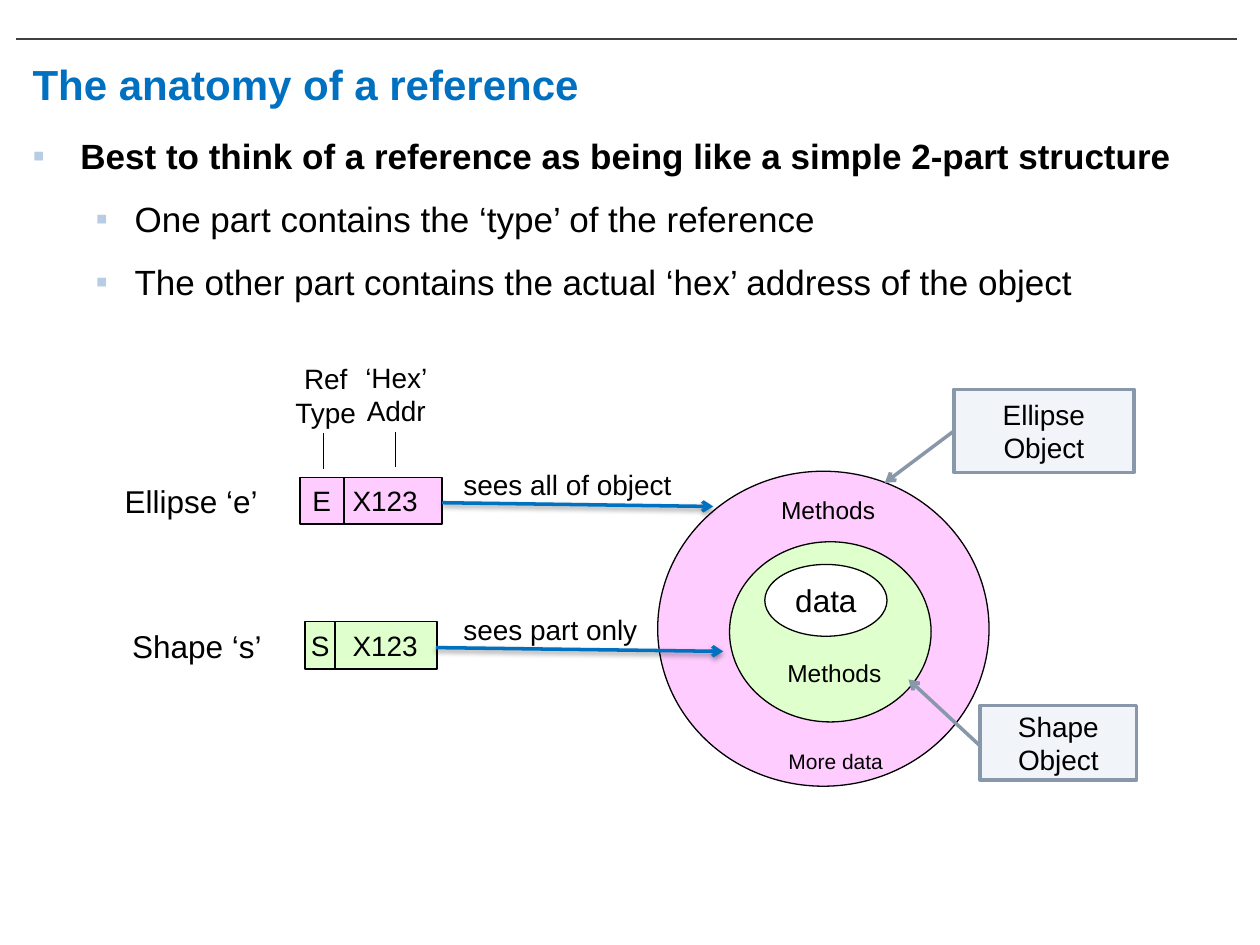
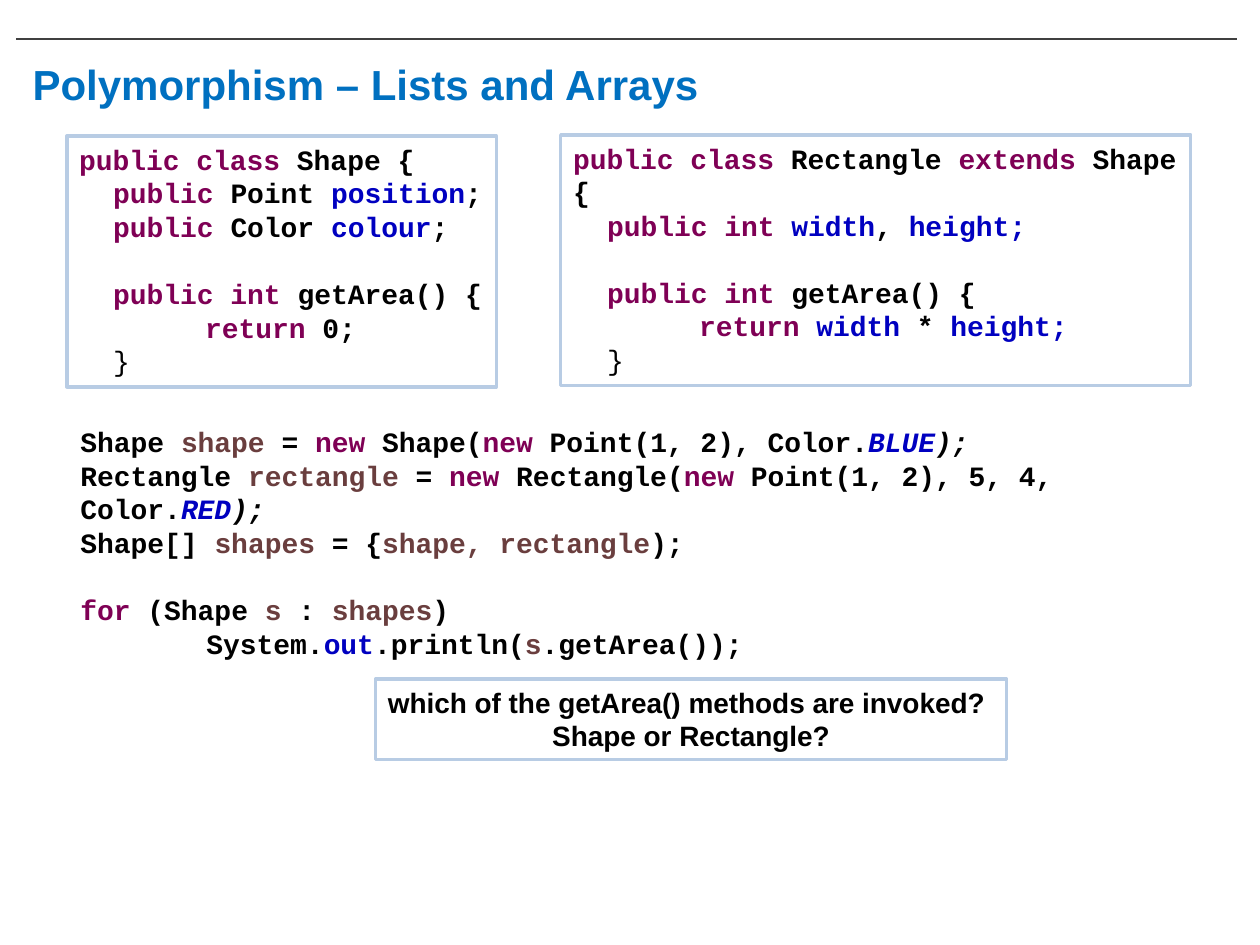
from dataclasses import dataclass, field

from lxml import etree
from pptx import Presentation
from pptx.dml.color import RGBColor
from pptx.enum.shapes import MSO_CONNECTOR, MSO_SHAPE
from pptx.enum.text import MSO_ANCHOR, PP_ALIGN
from pptx.oxml.ns import qn
from pptx.util import Inches, Pt

RECT, OVAL, CALLOUT = MSO_SHAPE.RECTANGLE, MSO_SHAPE.OVAL, MSO_SHAPE.LINE_CALLOUT_1
STRAIGHT = MSO_CONNECTOR.STRAIGHT
TOP, MIDDLE = MSO_ANCHOR.TOP, MSO_ANCHOR.MIDDLE
LEFT, CENTER = PP_ALIGN.LEFT, PP_ALIGN.CENTER
COLUMNS = 100


@dataclass
class Theme:
    sans: str = "Arial"
    mono: str = "Courier New"
    accent: str = "0070C0"
    rule: str = "404040"
    ink: str = "000000"
    paper: str = "FFFFFF"
    frame: str = "B8CCE4"
    pink: str = "FFCCFF"
    green: str = "DFFFCD"
    callout: str = "F1F5FA"
    callout_line: str = "8897A9"
    title: int = 24
    body: int = 20
    name: int = 18
    label: int = 16
    small: int = 14
    tiny: int = 12
    thin: float = 0.75
    thick: float = 2
    leading: float = 1.2
    syntax: dict = field(default_factory=lambda: {
        "t": ("000000", True, False),
        "k": ("7F0055", True, False),
        "f": ("0000C0", True, False),
        "v": ("6A3E3E", True, False),
        "c": ("0000C0", True, True),
        "i": ("000000", True, True),
        "p": ("000000", False, False),
    })


class Painter:
    def __init__(self, deck, theme):
        self.deck, self.theme = deck, theme
        self.cell = deck.slide_width // COLUMNS
        self.page = None

    def grid(self, values):
        return [round(value * self.cell) for value in values]

    def start(self, title):
        theme = self.theme
        self.page = self.deck.slides.add_slide(self.deck.slide_layouts[6])
        self.line((1.3, 3.1), (98.2, 3.1), theme.rule)
        self.text((1.6, 3.9, 96.1, 5.5), title, theme.title, theme.accent,
                  bold=True, anchor=MIDDLE)

    def style(self, span, size, color, bold=False, italic=False, name=None):
        font = span.font
        font.name, font.size = name or self.theme.sans, Pt(size)
        font.bold, font.italic = bold, italic
        font.color.rgb = RGBColor.from_string(color)

    def fill_text(self, box, text, size, color=None, bold=False, align=LEFT, anchor=TOP,
                  wrap=True):
        frame = box.text_frame
        frame.text = text
        frame.word_wrap, frame.vertical_anchor = wrap, anchor
        for para in frame.paragraphs:
            para.alignment = align
            para.line_spacing = Pt(size * self.theme.leading)
            for span in para.runs:
                self.style(span, size, color or self.theme.ink, bold)

    def text(self, area, text, size, color=None, **options):
        box = self.page.shapes.add_textbox(*self.grid(area))
        self.fill_text(box, text, size, color, **options)
        return box

    def shape(self, kind, area, fill, line=None, width=None):
        box = self.page.shapes.add_shape(kind, *self.grid(area))
        box.shadow.inherit = False
        box.fill.solid()
        box.fill.fore_color.rgb = RGBColor.from_string(fill)
        box.line.color.rgb = RGBColor.from_string(line or self.theme.ink)
        box.line.width = Pt(width or self.theme.thin)
        return box

    def arrowhead(self, line):
        outline = line._element.spPr.find(qn("a:ln"))
        etree.SubElement(outline, qn("a:tailEnd"), type="arrow")

    def line(self, start, end, color=None):
        line = self.page.shapes.add_connector(STRAIGHT, *self.grid(start + end))
        line.line.color.rgb = RGBColor.from_string(color or self.theme.ink)
        line.line.width = Pt(self.theme.thin)
        etree.SubElement(line._element.spPr, qn("a:effectLst"))
        return line

    def arrow(self, start, end):
        line = self.line(start, end, self.theme.accent)
        line.line.width = Pt(self.theme.thick)
        self.arrowhead(line)
        effects = line._element.spPr.find(qn("a:effectLst"))
        shadow = etree.SubElement(effects, qn("a:outerShdw"), blurRad=str(int(Pt(3.1))),
                                  dist=str(int(Pt(1.6))), dir="5400000", rotWithShape="0")
        color = etree.SubElement(shadow, qn("a:srgbClr"), val=self.theme.ink)
        etree.SubElement(color, qn("a:alpha"), val="38000")

    def callout(self, area, text, pointer):
        theme = self.theme
        box = self.shape(CALLOUT, area, theme.callout, theme.callout_line, theme.thick)
        for index, value in enumerate(pointer):
            box.adjustments[index] = value
        self.arrowhead(box)
        self.fill_text(box, text, theme.label, align=CENTER, anchor=MIDDLE)

    def bullets(self, area, items):
        theme = self.theme
        box = self.text(area, "\n".join(text for level, text in items), theme.body)
        for para, (level, text) in zip(box.text_frame.paragraphs, items):
            left, hang = ((0.38, 0.38), (0.81, 0.31))[level]
            para.level, para.space_before = level, Pt(12)
            para.runs[0].font.bold = level == 0
            props = para._p.get_or_add_pPr()
            props.set("marL", str(int(Inches(left))))
            props.set("indent", str(-int(Inches(hang))))
            color = etree.SubElement(props, qn("a:buClr"))
            etree.SubElement(color, qn("a:srgbClr"), val=theme.frame)
            etree.SubElement(props, qn("a:buFont"), typeface=theme.sans)
            etree.SubElement(props, qn("a:buChar"), char="▪")

    def code(self, box, lines):
        theme = self.theme
        frame = box.text_frame
        frame.word_wrap, frame.vertical_anchor = True, TOP
        height = Pt(theme.label * theme.leading)
        for index, (indent, blank, markup) in enumerate(lines):
            para = frame.add_paragraph() if index else frame.paragraphs[0]
            para.alignment, para.line_spacing = LEFT, height
            para.space_before = Pt(theme.label * theme.leading * blank)
            para._p.get_or_add_pPr().set("marL", str(int(Inches(indent))))
            for part in markup.split("~")[1:]:
                span = para.add_run()
                span.text = part[1:]
                self.style(span, theme.label, *theme.syntax[part[0]], name=theme.mono)

    def panel(self, area):
        theme = self.theme
        return self.shape(RECT, area, theme.paper, theme.frame, theme.thick)

    def code_panel(self, area, lines):
        self.code(self.panel(area), lines)

    def code_text(self, area, lines):
        self.code(self.page.shapes.add_textbox(*self.grid(area)), lines)


def anatomy(paint):
    theme = paint.theme
    paint.start("The anatomy of a reference")
    paint.bullets((1.6, 10.2, 96.1, 15.7), [
        (0, "Best to think of a reference as being like a simple 2-part structure"),
        (1, "One part contains the ‘type’ of the reference"),
        (1, "The other part contains the actual ‘hex’ address of the object"),
    ])

    for area, fill in [
        ((52.2, 37.4, 26.3, 25), theme.pink),
        ((57.9, 43, 16, 14.3), theme.green),
    ]:
        paint.shape(OVAL, area, fill)
    data = paint.shape(OVAL, (60.7, 44.8, 9.7, 5.7), theme.paper)
    paint.fill_text(data, "data", theme.name, anchor=MIDDLE, align=CENTER, wrap=False)

    for area, fill, width in [
        ((27, 37.9, 8.1, 3.7), theme.pink, 1),
        ((23.8, 37.9, 3.5, 3.7), theme.pink, theme.thin),
        ((26.6, 49.3, 8.1, 3.8), theme.green, theme.thin),
        ((24.2, 49.3, 2.4, 3.8), theme.green, theme.thin),
    ]:
        paint.shape(RECT, area, fill, width=width)

    for area, text, size in [
        ((8.9, 37.8, 14.2, 4), "Ellipse ‘e’", theme.name),
        ((9.5, 49.3, 13.5, 4), "Shape ‘s’", theme.name),
        ((23.8, 37.9, 3.5, 3.7), "E", theme.label),
        ((23.7, 49.4, 4, 3.7), "S", theme.label),
        ((27, 37.9, 7.2, 3.7), "X123", theme.label),
        ((27, 49.4, 7.2, 3.7), "X123", theme.label),
        ((35.8, 36.6, 18.6, 3.7), "sees all of object", theme.label),
        ((35.8, 48.1, 15.8, 3.7), "sees part only", theme.label),
        ((61, 38.8, 9.5, 3.4), "Methods", theme.small),
        ((61.5, 51.7, 9.5, 3.4), "Methods", theme.small),
        ((61.6, 58.9, 9.6, 3), "More data", theme.tiny),
    ]:
        paint.text(area, text, size, wrap=False)

    for left, top, text in [(22.4, 28.2, "Ref\vType"), (28, 28.1, "‘Hex’\vAddr")]:
        paint.text((left, top, 6.9, 6.4), text, theme.label, align=CENTER, wrap=False)
    for x, y in [(25.7, 34.4), (31.4, 34.3)]:
        paint.line((x, y), (x, y + 2.8))

    paint.arrow((35.1, 39.9), (56.6, 40.2))
    paint.arrow((34.6, 51.4), (57.4, 51.7))
    paint.callout((77.8, 56, 12.4, 5.9), "Shape\vObject", (0.551, 0.004, -0.352, -0.459))
    paint.callout((75.7, 30.9, 14.3, 6.6), "Ellipse\vObject", (0.512, -0.006, 1.125, -0.383))


def polymorphism(paint):
    theme = paint.theme
    paint.start("Polymorphism – Lists and Arrays")
    step, tab = 0.27, 1
    paint.code_panel((44.5, 10.7, 50, 19.9), [
        (0, 0, "~kpublic class~t Rectangle ~kextends~t Shape {"),
        (step, 0, "~kpublic int ~fwidth~t, ~fheight;"),
        (step, 1, "~kpublic int ~tgetArea() {"),
        (tab, 0, "~kreturn ~fwidth~t * ~fheight;"),
        (step, 0, "~p}"),
    ])
    paint.code_panel((5.3, 10.8, 34.1, 19.9), [
        (0, 0, "~kpublic class~t Shape {"),
        (step, 0, "~kpublic ~tPoint ~fposition~t;"),
        (step, 0, "~kpublic ~tColor ~fcolour~t;"),
        (step, 1, "~kpublic int ~tgetArea() {"),
        (tab, 0, "~kreturn ~t0;"),
        (step, 0, "~p}"),
    ])
    paint.code_text((5.4, 33.2, 89.1, 17.2), [
        (0, 0, "~tShape ~vshape~t = ~knew~t Shape(~knew~t Point(1, 2), Color.~cBLUE~i);"),
        (0, 0, "~tRectangle ~vrectangle~t = ~knew~t Rectangle(~knew"
               "~t Point(1, 2), 5, 4, Color.~cRED~i);"),
        (0, 0, "~tShape[] ~vshapes~t = {~vshape, rectangle~t);"),
        (0, 1, "~kfor~t (Shape ~vs~t : ~vshapes~t)"),
        (tab, 0, "~tSystem.~fout~t.println(~vs~t.getArea());"),
    ])
    question = paint.panel((29.8, 53.9, 50.1, 6.4))
    paint.fill_text(question, "which of the getArea() methods are invoked?\nShape or Rectangle?",
                    theme.label, bold=True, wrap=False)
    question.text_frame.paragraphs[1].alignment = CENTER


deck = Presentation()
deck.slide_width, deck.slide_height = Inches(10), Inches(7.5)
painter = Painter(deck, Theme())
anatomy(painter)
polymorphism(painter)
deck.save("out.pptx")
